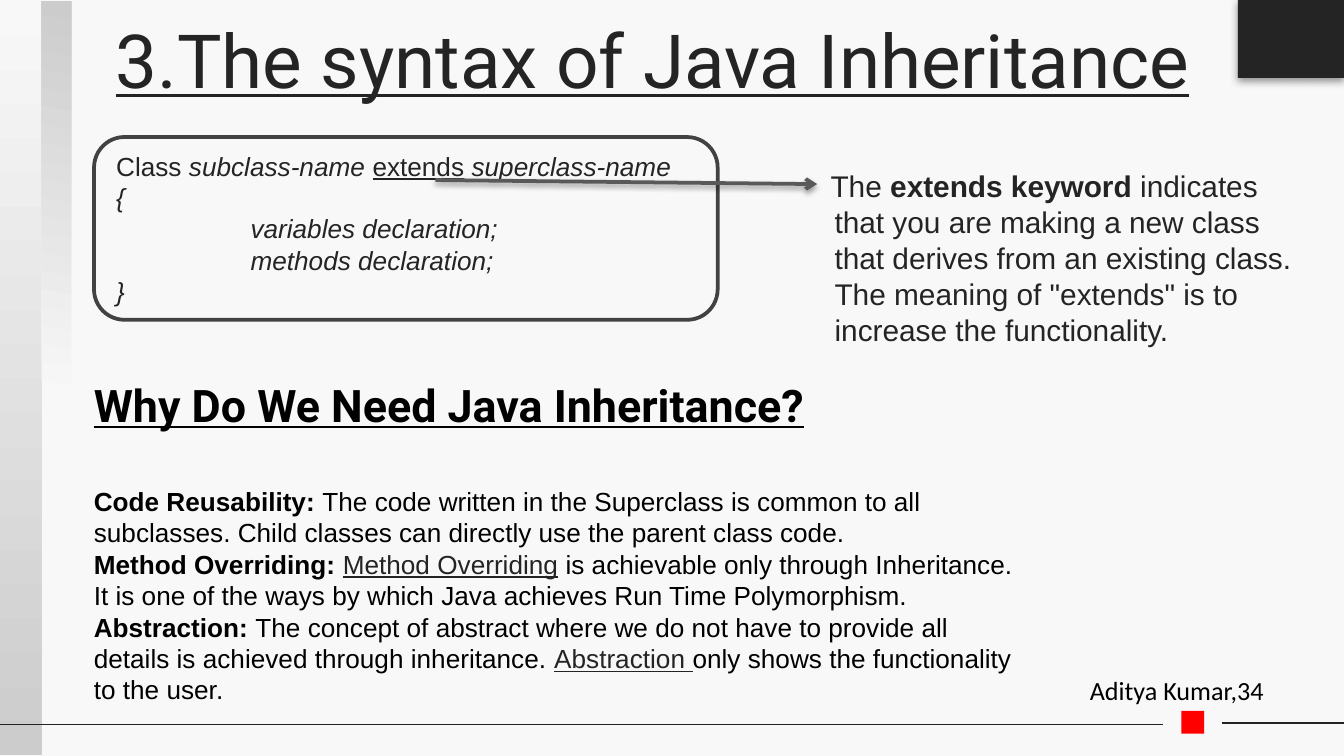
"""Build a slide on the syntax of Java inheritance."""
import pptx
import pptx.dml.color
import pptx.enum.shapes
import pptx.enum.text
import pptx.oxml
import pptx.oxml.ns
import pptx.util

Inches = pptx.util.Inches
Pt = pptx.util.Pt
Shape = pptx.enum.shapes.MSO_SHAPE
Anchor = pptx.enum.text.MSO_ANCHOR
Align = pptx.enum.text.PP_ALIGN
Size = pptx.enum.text.MSO_AUTO_SIZE

COLORS = {
    "paper": "F8F8F8",
    "gray": "CCCCCC",
    "ink": "242424",
    "frame": "424242",
    "arrow": "595959",
    "red": "FF0000",
    "black": "000000",
}


def color(name):
    return pptx.dml.color.RGBColor.from_string(COLORS[name])


def paint(fill, name):
    fill.solid()
    fill.fore_color.rgb = color(name)


def make_xml(tag, attrs="", inner=""):
    space = pptx.oxml.ns.nsdecls("a")
    return pptx.oxml.parse_xml(f"<a:{tag} {space} {attrs}>{inner}</a:{tag}>")


def shade(shape, name=None, alpha=0, blur=0, dist=0):
    props = shape._element.spPr
    for old in props.findall(pptx.oxml.ns.qn("a:effectLst")):
        props.remove(old)
    drop = ""
    if name:
        drop = (
            f'<a:outerShdw blurRad="{Pt(blur)}" dist="{Pt(dist)}" dir="5400000">'
            f'<a:srgbClr val="{COLORS[name]}"><a:alpha val="{alpha * 1000}"/>'
            "</a:srgbClr></a:outerShdw>"
        )
    props.append(make_xml("effectLst", inner=drop))


def add_box(slide, place, fill, kind=Shape.RECTANGLE):
    box = slide.shapes.add_shape(kind, *map(Inches, place))
    box.shadow.inherit = False
    box.line.fill.background()
    paint(box.fill, fill)
    return box


def add_band(slide, place, start, angle):
    band = add_box(slide, place, "paper")
    band.fill.gradient()
    band.fill.gradient_angle = angle
    ends = zip(band.fill.gradient_stops, ("paper", "gray"), (start, 1))
    for stop, name, spot in ends:
        stop.color.rgb = color(name)
        stop.position = spot


def add_line(slide, ends, name, width):
    line = slide.shapes.add_connector(
        pptx.enum.shapes.MSO_CONNECTOR.STRAIGHT, *map(Inches, ends)
    )
    line.line.color.rgb = color(name)
    line.line.width = Pt(width)
    shade(line)
    return line


def add_arrow(slide, ends):
    arrow = add_line(slide, ends, "arrow", 2)
    arrow.line._get_or_add_ln().append(make_xml("tailEnd", 'type="arrow"'))
    shade(arrow, "black", 38, 3.1, 1.6)


def add_runs(para, runs, size, font="Arial", ink="black"):
    """Add runs given as text, style letters (b, i, u) and an optional colour."""
    para.alignment = Align.LEFT
    for text, style, *tint in runs:
        run = para.add_run()
        run.text = text
        face = run.font
        face.name = font
        face.size = Pt(size)
        face.bold = "b" in style
        face.italic = "i" in style
        face.underline = "u" in style
        face.color.rgb = color(tint[0] if tint else ink)


def add_text(slide, place):
    frame = slide.shapes.add_textbox(*map(Inches, place)).text_frame
    frame.word_wrap = True
    return frame


def set_holder(holder, place):
    holder.left, holder.top, holder.width, holder.height = map(Inches, place)
    frame = holder.text_frame
    frame.auto_size = Size.NONE
    frame.word_wrap = True
    frame.vertical_anchor = Anchor.TOP
    frame.margin_top = Inches(0.1)
    return frame.paragraphs[0]


def add_decor(slide):
    paint(slide.background.fill, "paper")
    add_band(slide, (0, 0.01, 0.31, 5.61), 0, 270)
    add_band(slide, (0.31, 0.01, 0.22, 5.61), 0.47, 80)
    block = add_box(slide, (9.21, 0, 0.79, 0.58), "ink")
    shade(block, "ink", 50, 4.5, 1.5)
    add_line(slide, (0, 5.39, 8.65, 5.39), "ink", 0.75)
    add_box(slide, (8.79, 5.29, 0.17, 0.17), "red")
    add_line(slide, (9.09, 5.38, 10, 5.38), "ink", 0.75)


def add_note(slide):
    para = set_holder(slide.placeholders[1], (5.61, 1.15, 4.11, 1.69))
    props = para._p.get_or_add_pPr()
    props.set("marL", str(Inches(0.5)))
    props.set("indent", str(Inches(-0.03)))
    props.append(make_xml("buNone"))
    para.space_before = Pt(0)
    add_runs(para, [
        ("The ", ""),
        ("extends keyword", "b"),
        (" indicates that you are making a new class that derives from an "
         "existing class. The meaning of \"extends\" is to increase the "
         "functionality.", ""),
    ], 16, ink="ink")


def add_code(slide):
    box = add_box(slide, (0.7, 1.02, 4.64, 1.36), "paper", Shape.ROUNDED_RECTANGLE)
    box.line.color.rgb = color("frame")
    box.line.width = Pt(2)
    frame = box.text_frame
    frame.vertical_anchor = Anchor.MIDDLE
    add_runs(frame.paragraphs[0], [
        ("Class ", ""),
        ("subclass-name ", "i"),
        ("extends", "u"),
        (" superclass-name", "i"),
    ], 14, ink="ink")
    stop = f'<a:tab pos="{Inches(1)}" algn="l"/>'
    for row in ("{", "\tvariables declaration;", "\tmethods declaration;", "}"):
        para = frame.add_paragraph()
        para._p.get_or_add_pPr().append(make_xml("tabLst", inner=stop))
        add_runs(para, [(row, "i")], 14, ink="ink")


def add_reasons(slide):
    frame = add_text(slide, (0.6, 2.76, 7.06, 2.56))
    head = frame.paragraphs[0]
    add_runs(head, [("Why Do We Need Java Inheritance?", "bu")], 24, "Roboto")
    head.space_after = Pt(29)
    for runs in (
        [("Code Reusability: ", "b"),
         ("The code written in the Superclass is common to all subclasses. "
          "Child classes can directly use the parent class code.", "")],
        [("Method Overriding: ", "b"),
         ("Method Overriding", "u", "ink"),
         (" is achievable only through Inheritance. It is one of the ways by "
          "which Java achieves Run Time Polymorphism.", "")],
        [("Abstraction: ", "b"),
         ("The concept of abstract where we do not have to provide all details "
          "is achieved through inheritance. ", ""),
         ("Abstraction ", "u", "ink"),
         ("only shows the functionality to the user.", "")],
    ):
        add_runs(frame.add_paragraph(), runs, 14)


def main():
    deck = pptx.Presentation()
    deck.slide_width = Inches(10)
    deck.slide_height = Inches(10 * 9 / 16)
    slide = deck.slides.add_slide(deck.slide_layouts[1])
    add_decor(slide)
    title = set_holder(slide.shapes.title, (0.76, 0, 8.43, 0.63))
    add_runs(title, [("3.The syntax of Java Inheritance", "u")], 40, "Roboto", "ink")
    add_note(slide)
    add_code(slide)
    add_arrow(slide, (3.24, 1.34, 6.08, 1.37))
    name = add_text(slide, (8.01, 4.97, 1.99, 0.34))
    add_runs(name.paragraphs[0], [("Aditya Kumar,34", "")], 14, "Calibri")
    add_reasons(slide)
    deck.save("out.pptx")


if __name__ == "__main__":
    main()
